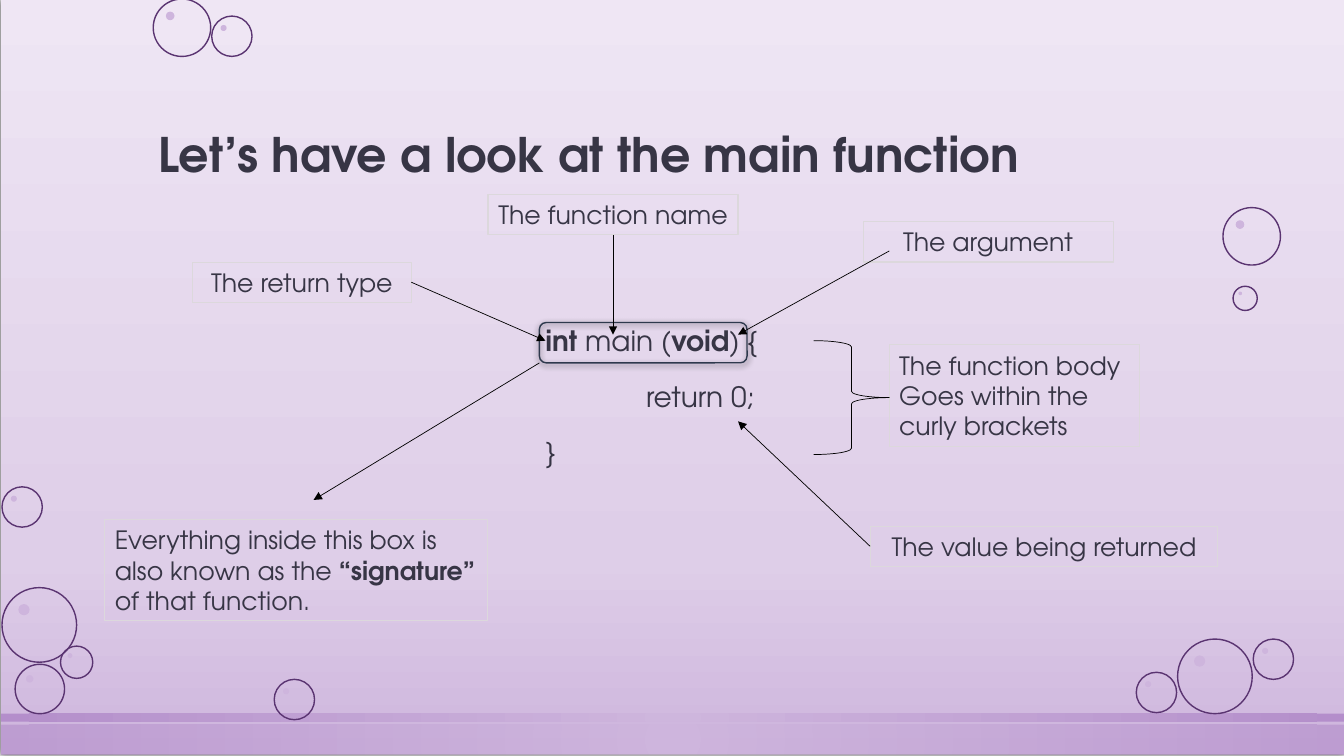
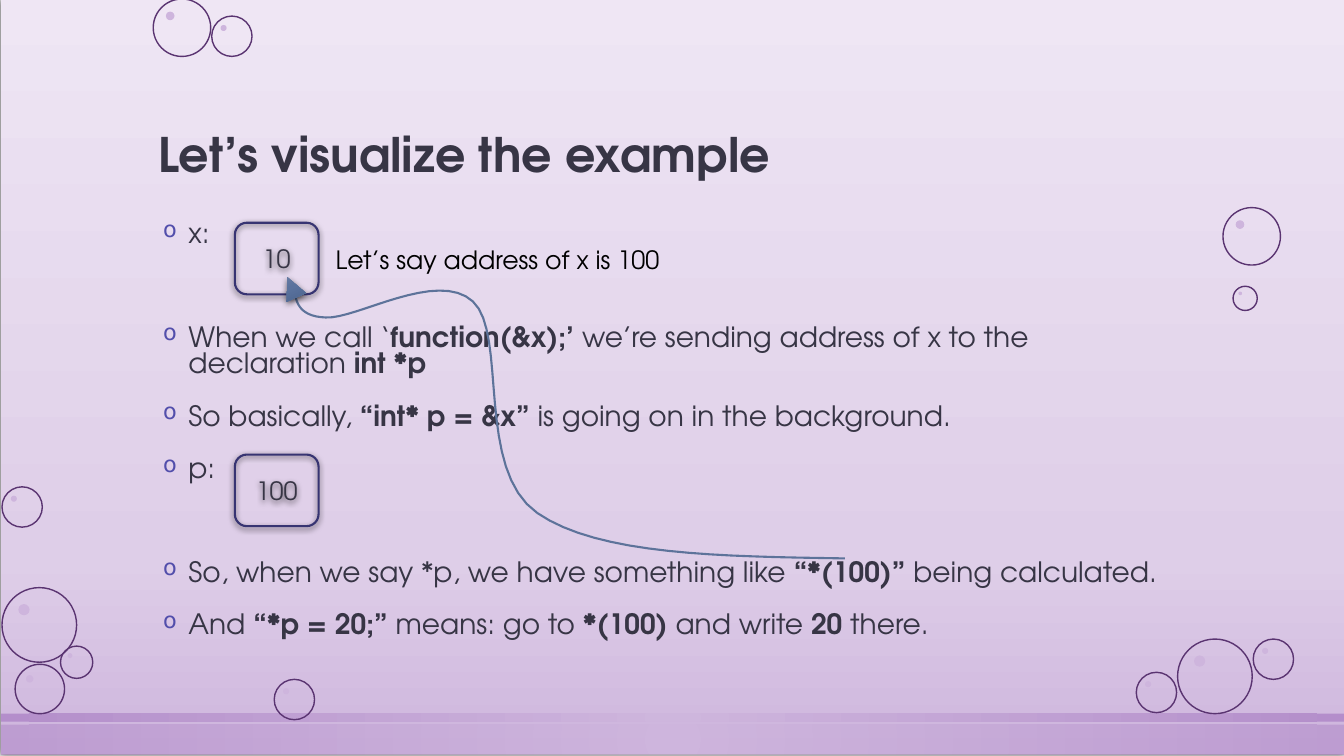
from lxml import etree
from pptx import Presentation
from pptx.dml.color import RGBColor
from pptx.enum.shapes import MSO_CONNECTOR, MSO_SHAPE as SHAPE
from pptx.enum.text import MSO_ANCHOR as ANCHOR, PP_ALIGN as ALIGN
from pptx.oxml import parse_xml
from pptx.oxml.ns import nsdecls, qn
from pptx.util import Inches, Pt

# Shared look
FONT = "TeX Gyre Adventor"
INK = RGBColor(0x37, 0x35, 0x45)
BLACK = RGBColor(0x00, 0x00, 0x00)
BUBBLE_EDGE = RGBColor(0x5A, 0x34, 0x71)
LILAC = RGBColor(0xCE, 0xB5, 0xDD)
PURPLE = RGBColor(0xAD, 0x84, 0xC6)
MIST = RGBColor(0xEF, 0xE6, 0xF4)
LAVENDER = RGBColor(0xDE, 0xCE, 0xE8)
LABEL_EDGE = RGBColor(0xDC, 0xD8, 0xDC)
SIGNATURE_EDGE = RGBColor(0x2E, 0x39, 0x4D)
CELL_EDGE = RGBColor(0x37, 0x34, 0x72)
BULLET = RGBColor(0x52, 0x4E, 0xAB)
CURVE = RGBColor(0x5D, 0x73, 0x9A)
TIP_STOPS = [(0, RGBColor(0x71, 0x83, 0xA6)), (50, RGBColor(0x5A, 0x72, 0x9D)),
             (100, RGBColor(0x4D, 0x65, 0x8E))]

# Bubbles: left, top, diameter
BUBBLES = [
    (0.02, 5.83, 0.74), (0.6, 6.41, 0.32), (0.15, 6.59, 0.49),
    (2.72, 6.74, 0.4), (0.02, 4.83, 0.4), (11.68, 6.34, 0.74),
    (11.27, 6.67, 0.4), (12.43, 6.34, 0.4), (12.13, 2.06, 0.57),
    (12.23, 2.84, 0.24), (1.52, -0.01, 0.57), (2.1, 0.16, 0.4),
]

# Cubic segments of the pointer curve: two handles and an end point each
POINTER_START = (8.38, 5.54)
POINTER_SEGMENTS = [
    ((7.16, 5.52), (5.94, 5.51), (5.33, 5.09)),
    ((4.71, 4.66), (5.04, 3.31), (4.69, 2.99)),
    ((4.34, 2.67), (3.53, 3.17), (3.23, 3.15)),
    ((2.94, 3.14), (2.94, 2.96), (2.92, 2.9)),
]


# Shapes
def add_shape(s, kind, at, line=None, width=1, fill=None):
    sp = s.shapes.add_shape(kind, *map(Inches, at))
    sp.shadow.inherit = False
    if fill is None:
        sp.fill.background()
    else:
        sp.fill.solid()
        sp.fill.fore_color.rgb = fill
    if line is None:
        sp.line.fill.background()
    else:
        sp.line.color.rgb = line
        sp.line.width = Pt(width)
    return sp


def set_gradient(sp, stops, alpha=100, radial=False):
    """Replace the empty fill by a downward or radial gradient."""
    gs = "".join(
        f'<a:gs pos="{pos * 1000}"><a:srgbClr val="{color}">'
        f'<a:alpha val="{alpha * 1000}"/></a:srgbClr></a:gs>'
        for pos, color in stops)
    course = '<a:lin ang="5400000" scaled="0"/>'
    if radial:
        course = ('<a:path path="circle"><a:fillToRect l="50000" t="50000" '
                  'r="50000" b="50000"/></a:path>')
    spPr = sp._element.spPr
    spPr.replace(spPr.find(qn("a:noFill")), parse_xml(
        f'<a:gradFill {nsdecls("a")} rotWithShape="1">'
        f'<a:gsLst>{gs}</a:gsLst>{course}</a:gradFill>'))


def drop_shadow(sp):
    sp._element.spPr.find(qn("a:effectLst")).append(parse_xml(
        f'<a:outerShdw {nsdecls("a")} blurRad="{Pt(4.5)}" dist="{Pt(1.5)}" '
        'dir="5400000" rotWithShape="0"><a:srgbClr val="000000">'
        '<a:alpha val="63000"/></a:srgbClr></a:outerShdw>'))


def add_arrow(s, start, end, source=None, site=0):
    c = s.shapes.add_connector(MSO_CONNECTOR.STRAIGHT, *map(Inches, start + end))
    if source is not None:
        c.begin_connect(source, site)
    c.line.color.rgb = BLACK
    c.line.width = Pt(0.5)
    etree.SubElement(c.line._get_or_add_ln(), qn("a:tailEnd"), type="triangle")
    etree.SubElement(c._element.spPr, qn("a:effectLst"))


# Text
def write(p, text, size, color=INK, bold=False, **layout):
    """Fill a paragraph; pieces between bars are bold."""
    for name, value in layout.items():
        setattr(p, name, value)
    for i, piece in enumerate(text.split("|")):
        if piece:
            r = p.add_run()
            r.text = piece
            fmt = {"name": FONT, "size": Pt(size), "bold": bold or i % 2 == 1}
            for name, value in fmt.items():
                setattr(r.font, name, value)
            r.font.color.rgb = color


def set_indent(p, left, first=0):
    pPr = p._p.get_or_add_pPr()
    pPr.set("marL", str(Inches(left)))
    pPr.set("indent", str(Inches(first)))


def set_bullet(p):
    set_indent(p, 0.3, -0.25)
    pPr = p._p.get_or_add_pPr()
    color = etree.SubElement(pPr, qn("a:buClr"))
    etree.SubElement(color, qn("a:srgbClr"), val=str(BULLET))
    etree.SubElement(pPr, qn("a:buSzPct"), val="80000")
    etree.SubElement(pPr, qn("a:buChar"), char="o")


def frame(sp, anchor=ANCHOR.MIDDLE):
    tf = sp.text_frame
    tf.word_wrap = True
    tf.vertical_anchor = anchor
    return tf


def paragraphs(tf, texts):
    for i, text in enumerate(texts):
        yield (tf.add_paragraph() if i else tf.paragraphs[0]), text


def add_text_box(s, at, anchor=ANCHOR.TOP):
    return frame(s.shapes.add_textbox(*map(Inches, at)), anchor)


def add_label(s, at, *lines, align=ALIGN.CENTER):
    sp = add_shape(s, SHAPE.RECTANGLE, at, LABEL_EDGE, 0.75)
    for p, line in paragraphs(frame(sp), lines):
        write(p, line, 18, alignment=align)
    return sp


def add_cell(s, top, value):
    sp = add_shape(s, SHAPE.ROUNDED_RECTANGLE, (2.33, top, 0.83, 0.71), CELL_EDGE, 1.5)
    drop_shadow(sp)
    write(frame(sp).paragraphs[0], value, 18, alignment=ALIGN.CENTER)


def add_pointer(s, steps=16):
    """Draw the curve from its sampled cubic segments, then its tip."""
    start, points = POINTER_START, []
    for h1, h2, end in POINTER_SEGMENTS:
        for t in (k / steps for k in range(1, steps + 1)):
            u = 1 - t
            weights = (u ** 3, 3 * u * u * t, 3 * u * t * t, t ** 3)
            points.append(tuple(
                Inches(sum(w * v for w, v in zip(weights, axis)))
                for axis in zip(start, h1, h2, end)))
        start = end
    builder = s.shapes.build_freeform(*map(Inches, POINTER_START))
    builder.add_line_segments(points, close=False)
    curve = builder.convert_to_shape()
    curve.shadow.inherit = False
    curve.fill.background()
    curve.line.color.rgb = CURVE
    curve.line.width = Pt(1.5)

    tip = add_shape(s, SHAPE.ISOSCELES_TRIANGLE, (2.79, 2.74, 0.21, 0.22))
    tip.rotation = 336.2
    set_gradient(tip, TIP_STOPS)
    drop_shadow(tip)


# Slides
def new_slide(prs, title):
    s = prs.slides.add_slide(prs.slide_layouts[6])
    wash = add_shape(s, SHAPE.RECTANGLE, (0.01, -0.02, 13.33, 7.5))
    set_gradient(wash, [(0, MIST), (74, LAVENDER), (100, LILAC)])
    drop_shadow(wash)
    for top, height, alpha in ((7.19, 0.3, 50), (7.08, 0.08, 80)):
        band = add_shape(s, SHAPE.RECTANGLE, (0.01, top, 13.33, height))
        set_gradient(band, [(0, LILAC), (100, PURPLE)], alpha, radial=True)
    for x, y, d in BUBBLES:
        add_shape(s, SHAPE.OVAL, (x, y, d, d), BUBBLE_EDGE)
        add_shape(s, SHAPE.OVAL, (x + 0.22 * d, y + 0.22 * d, 0.15 * d, 0.15 * d),
                  fill=LILAC)
    tf = add_text_box(s, (1.47, 0.51, 10.4, 1.35), ANCHOR.BOTTOM)
    write(tf.paragraphs[0], title, 34, bold=True, line_spacing=0.9)
    return s


def main_function_slide(prs):
    s = new_slide(prs, "Let’s have a look at the main function")

    # Code
    tf = add_text_box(s, (5.26, 3.2, 2.81, 3.46))
    code = [("|int| main (|void|) {", 0.05), ("return 0;", 1.05), ("}", 0.05)]
    for i, (p, (text, left)) in enumerate(paragraphs(tf, code)):
        set_indent(p, left)
        write(p, text, 20, line_spacing=0.9, space_before=Pt(18 if i else 0))

    # Labels
    return_type = add_label(s, (1.91, 2.6, 2.17, 0.4), "The return type")
    name = add_label(s, (4.84, 1.93, 2.48, 0.4), "The function name")
    add_label(s, (8.56, 2.2, 2.48, 0.4), "The argument")
    add_label(s, (8.82, 3.42, 2.48, 1.01), "The function body",
              "Goes within the curly brackets", align=ALIGN.LEFT)
    value = add_label(s, (8.63, 5.22, 3.45, 0.4), "The value being returned")
    add_label(s, (1.04, 5.15, 3.8, 1.01),
              "Everything inside this box is also known as the |“signature” |"
              "of that function.", align=ALIGN.LEFT)

    # Signature box and body brace
    signature = add_shape(s, SHAPE.ROUNDED_RECTANGLE, (5.35, 3.2, 2.06, 0.4),
                          SIGNATURE_EDGE)
    drop_shadow(signature)
    add_shape(s, SHAPE.RIGHT_BRACE, (8.07, 3.38, 0.75, 1.13), BLACK, 0.5)

    # Arrows
    add_arrow(s, (4.08, 2.8), (5.41, 3.38), return_type, 3)
    add_arrow(s, (6.08, 2.33), (6.08, 3.32), name, 2)
    add_arrow(s, (8.82, 2.49), (7.32, 3.32))
    add_arrow(s, (8.63, 5.42), (7.32, 4.18), value, 1)
    add_arrow(s, (5.35, 3.6), (3.11, 4.96))


def pointer_slide(prs):
    s = new_slide(prs, "Let’s visualize the example")

    # Bullets: text and space before; the wide gaps leave room for the cells
    tf = add_text_box(s, (1.47, 2.15, 10.4, 4.51))
    bullets = [
        ("x:", 0),
        ("When we call ‘|function(&x);’ |we’re sending address of x to the "
         "declaration |int *p|", 55),
        ("So basically, |“int* p = &x” |is going on in the background.", 18),
        ("p:", 18),
        ("So, when we say *p, we have something like |“*(100)” |being calculated.", 55),
        ("And| “*p = 20;” |means: go to |*(100) |and write |20| there.", 18),
    ]
    for p, (text, gap) in paragraphs(tf, bullets):
        set_bullet(p)
        write(p, text, 20, line_spacing=0.8, space_before=Pt(gap))

    # Memory cells and pointer
    add_cell(s, 2.21, "10")
    add_cell(s, 4.51, "100")
    note = add_text_box(s, (2.88, 2.37, 4.11, 0.4), ANCHOR.MIDDLE)
    write(note.paragraphs[0], "Let’s say address of x is 100", 18, BLACK,
          alignment=ALIGN.CENTER)
    add_pointer(s)


def main():
    prs = Presentation()
    prs.slide_width, prs.slide_height = Inches(13.33), Inches(7.5)
    main_function_slide(prs)
    pointer_slide(prs)
    prs.save("out.pptx")


if __name__ == "__main__":
    main()
